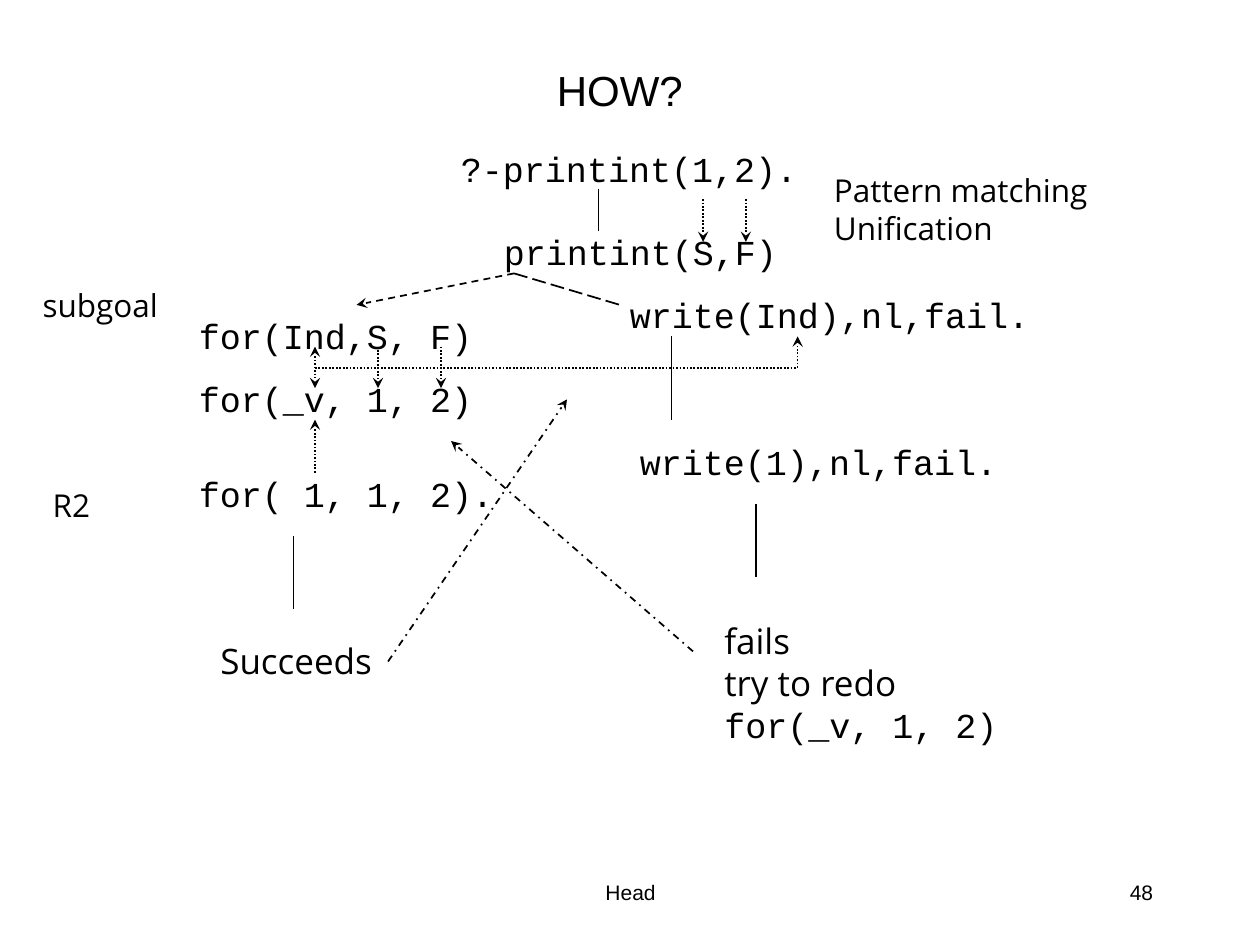
from lxml.etree import SubElement
from pptx import Presentation
from pptx.dml.color import RGBColor
from pptx.enum.dml import MSO_LINE
from pptx.enum.shapes import MSO_CONNECTOR
from pptx.enum.text import MSO_ANCHOR, MSO_AUTO_SIZE, PP_ALIGN
from pptx.oxml.ns import qn
from pptx.util import Inches, Pt

BLACK = RGBColor(0, 0, 0)
CODE, PROSE, HEADING = "Courier New", "Open Sans", "Arial"
DOTTED = MSO_LINE.ROUND_DOT
LINE_HEIGHT = 0.43


def add_text(slide, left, top, width, height, text, size=20, font=CODE, align=PP_ALIGN.LEFT):
    """Add black text and return its frame."""
    box = slide.shapes.add_textbox(Inches(left), Inches(top), Inches(width), Inches(height))
    frame = box.text_frame
    frame.text = text
    for paragraph in frame.paragraphs:
        paragraph.alignment = align
        for run in paragraph.runs:
            run.font.size = Pt(size)
            run.font.name = font
            run.font.color.rgb = BLACK
    return frame


def add_label(slide, left, top, width, height, text, size=20, font=CODE):
    """Add unwrapped text whose box fits its content."""
    frame = add_text(slide, left, top, width, height, text, size, font)
    frame.word_wrap = False
    frame.auto_size = MSO_AUTO_SIZE.SHAPE_TO_FIT_TEXT
    return frame


def add_block(slide, left, top, width, height, text, size, font, align):
    """Add wrapped text centred vertically in its box."""
    frame = add_text(slide, left, top, width, height, text, size, font, align)
    frame.word_wrap = True
    frame.vertical_anchor = MSO_ANCHOR.MIDDLE


def add_line(slide, x1, y1, x2, y2, dash=None, head=False, tail=False):
    """Add a thin black line with optional dashes and arrowheads."""
    line = slide.shapes.add_connector(
        MSO_CONNECTOR.STRAIGHT, Inches(x1), Inches(y1), Inches(x2), Inches(y2))
    line.line.color.rgb = BLACK
    line.line.width = Pt(1)
    if dash is not None:
        line.line.dash_style = dash
    outline = line.line._get_or_add_ln()
    for tag, wanted in (("a:headEnd", head), ("a:tailEnd", tail)):
        if wanted:
            SubElement(outline, qn(tag), type="stealth")
    SubElement(line._element.spPr, qn("a:effectLst"))


def add_query(slide, left, top):
    """Place the query, the rule head it matches and the note beside them."""
    add_label(slide, left, top, 2.87, LINE_HEIGHT, "?-printint(1,2).")
    add_line(slide, left + 1.19, top + 0.38, left + 1.19, top + 0.71)
    add_label(slide, left + 0.34, top + 0.66, 2.37, LINE_HEIGHT, "printint(S,F)")
    for argument_x in (left + 2.02, left + 2.36):
        add_line(slide, argument_x, top + 0.46, argument_x, top + 0.8, DOTTED, tail=True)
    add_label(slide, left + 2.96, top + 0.19, 2.25, 0.7,
              "Pattern matching\nUnification", 18, PROSE)


def add_subgoal(slide, left, top):
    """Place the for subgoal, its bindings and its success."""
    goals = [("for(Ind,S, F)", 0.23, 2.37), ("for(_v, 1, 2)", 0.73, 2.37),
             ("for( 1, 1, 2).", 1.48, 2.54)]
    for goal, offset, width in goals:
        add_label(slide, left + 1.24, top + offset, width, LINE_HEIGHT, goal)
    first_argument = left + 2.26
    for index in range(3):
        argument_x = first_argument + index * 0.5
        add_line(slide, argument_x, top + 0.53, argument_x, top + 0.86, DOTTED,
                 head=index == 0, tail=True)
    add_line(slide, first_argument, top + 1.11, first_argument, top + 1.53, DOTTED, head=True)
    add_label(slide, left, top, 1.14, 0.4, "subgoal", 18, PROSE)
    add_label(slide, left + 0.08, top + 1.59, 0.5, 0.4, "R2", 18, PROSE)
    add_line(slide, left + 2.09, top + 2.03, left + 2.09, top + 2.61)
    add_label(slide, left + 1.41, top + 2.81, 1.41, LINE_HEIGHT, "Succeeds", 20, PROSE)


def add_write_goal(slide, left, top):
    """Place the write goal, its bound form and its failure."""
    add_label(slide, left, top, 3.38, LINE_HEIGHT, "write(Ind),nl,fail.")
    add_line(slide, left + 0.43, top + 0.39, left + 0.43, top + 1.05)
    add_label(slide, left + 0.08, top + 1.17, 3.04, LINE_HEIGHT, "write(1),nl,fail.")
    add_line(slide, left + 1.1, top + 1.72, left + 1.1, top + 2.3)
    failure = add_label(slide, left + 0.75, top + 2.59, 2.37, 1.1,
                        "fails\ntry to redo\nfor(_v, 1, 2)", 20, PROSE)
    failure.paragraphs[-1].runs[0].font.name = CODE


def add_control_flow(slide, left, top):
    """Draw the lines that join the two goals."""
    add_line(slide, left + 1.58, top, left + 0.33, top + 0.25, MSO_LINE.DASH, tail=True)
    add_line(slide, left + 1.58, top, left + 2.42, top + 0.25, MSO_LINE.LONG_DASH)
    add_line(slide, left, top + 0.75, left + 3.83, top + 0.75, DOTTED)
    add_line(slide, left + 3.83, top + 0.75, left + 3.83, top + 0.5, DOTTED, tail=True)
    add_line(slide, left + 0.58, top + 3.08, left + 2, top + 1, MSO_LINE.DASH_DOT, tail=True)
    add_line(slide, left + 3, top + 3, left + 1.08, top + 1.33, MSO_LINE.DASH_DOT, tail=True)


def add_footer(slide, left, top):
    """Place the footer text and the page number."""
    add_block(slide, left, top, 3.17, 0.5, "Head", 12, HEADING, PP_ALIGN.CENTER)
    add_block(slide, left + 3.75, top, 2.08, 0.5, "48", 12, HEADING, PP_ALIGN.RIGHT)


def main():
    """Build and save the slide."""
    presentation = Presentation()
    presentation.slide_width, presentation.slide_height = Inches(10), Inches(7.5)
    slide = presentation.slides.add_slide(presentation.slide_layouts[6])
    add_block(slide, 0.67, 0.42, 8.5, 0.58, "HOW?", 24, HEADING, PP_ALIGN.CENTER)
    add_query(slide, 3.56, 1.12)
    add_subgoal(slide, 0.24, 2.22)
    add_write_goal(slide, 4.9, 2.28)
    add_control_flow(slide, 2.5, 2.17)
    add_footer(slide, 3.42, 6.83)
    presentation.save("out.pptx")


if __name__ == "__main__":
    main()
